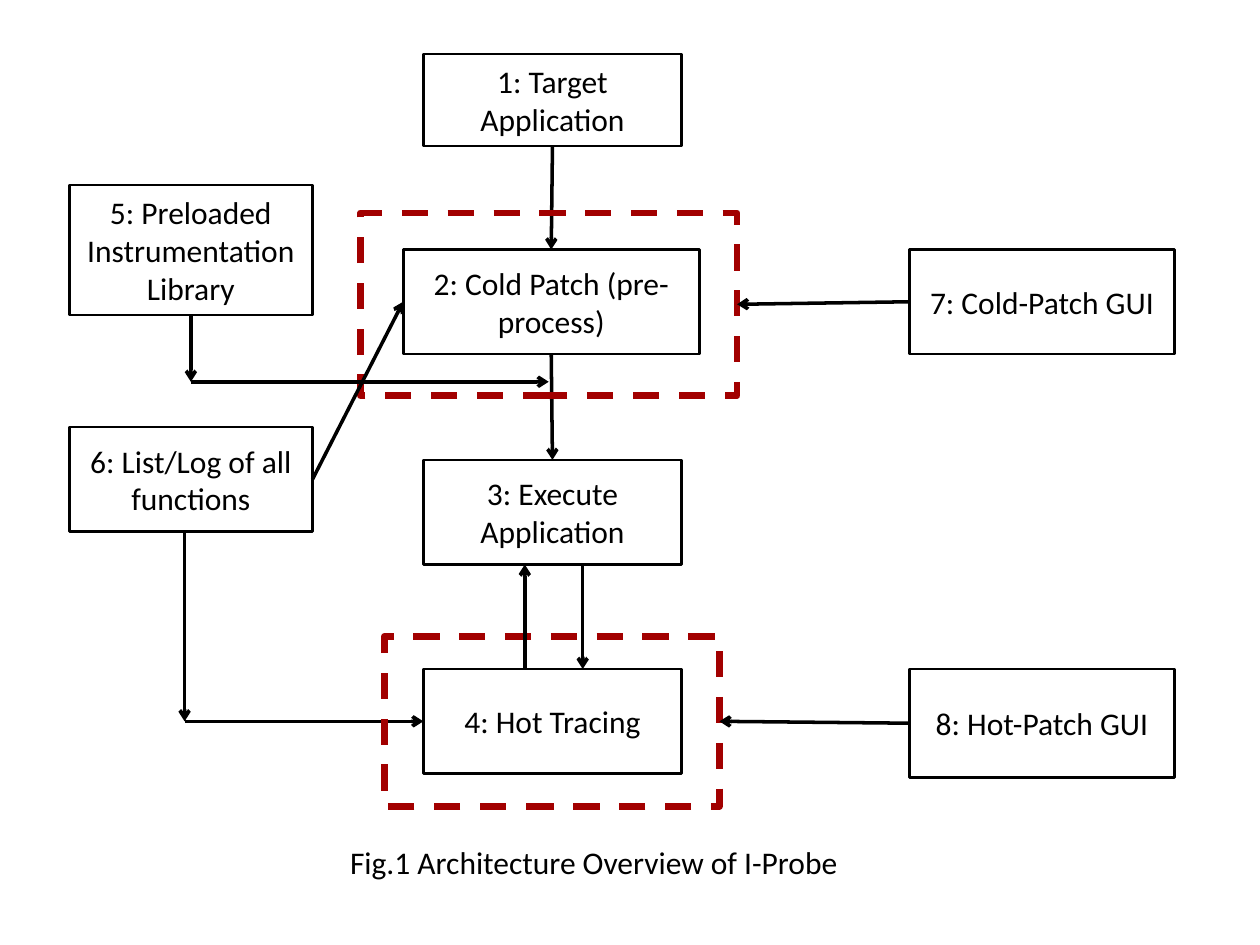
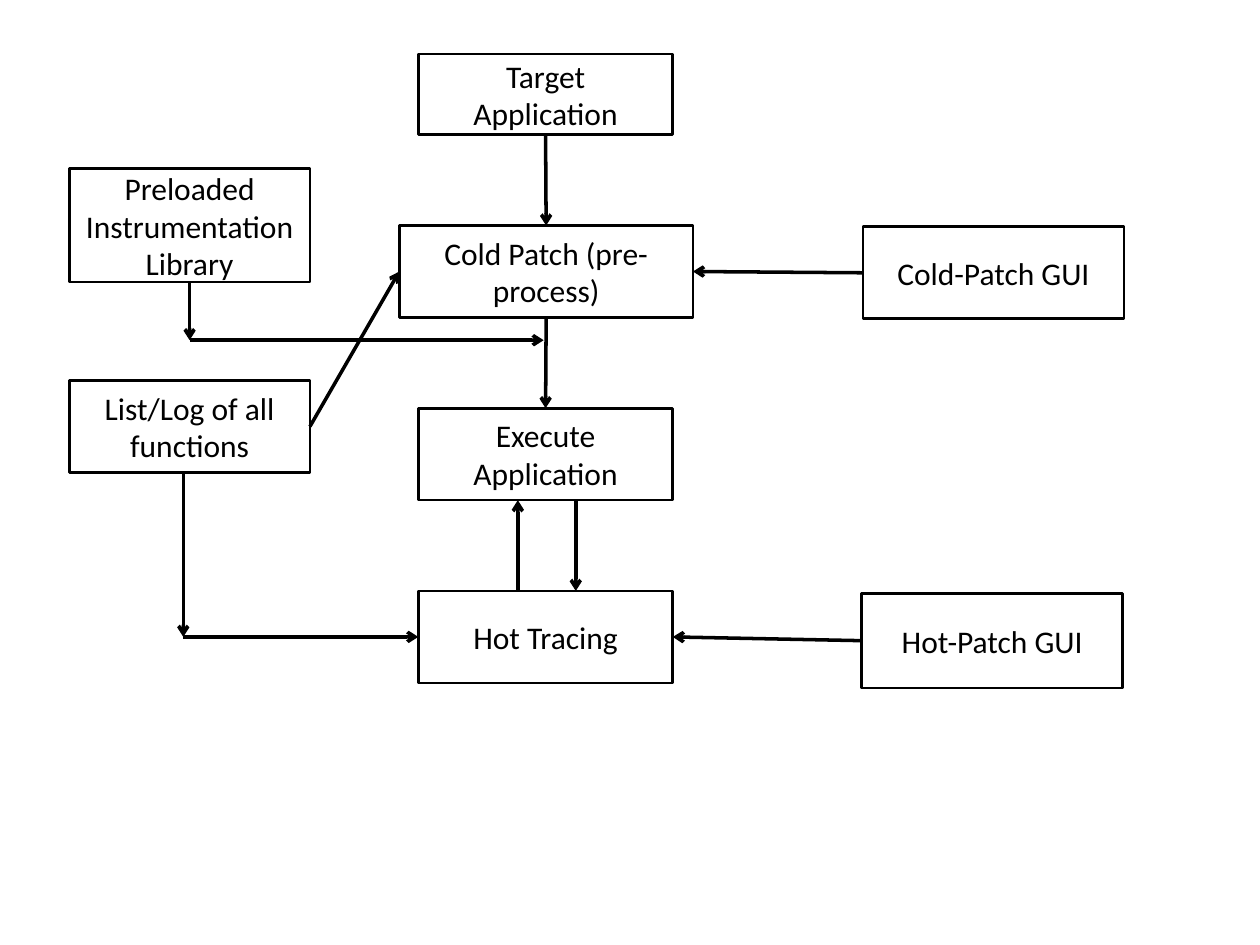
from lxml.etree import SubElement
from pptx import Presentation
from pptx.dml.color import RGBColor
from pptx.enum.dml import MSO_LINE
from pptx.enum.shapes import MSO_CONNECTOR, MSO_SHAPE
from pptx.enum.text import MSO_ANCHOR, MSO_AUTO_SIZE, PP_ALIGN
from pptx.oxml.ns import qn
from pptx.util import Inches, Pt

BLACK = RGBColor(0x00, 0x00, 0x00)
RED = RGBColor(0xA2, 0x00, 0x00)
FONT, SIZE = "Calibri", 18

# Content: the steps in number order
NAMES = {
    "target": "Target Application",
    "cold": "Cold Patch (pre-process)",
    "run": "Execute Application",
    "hot": "Hot Tracing",
    "lib": "Preloaded Instrumentation\nLibrary",
    "log": "List/Log of all functions",
    "cold_gui": "Cold-Patch GUI",
    "hot_gui": "Hot-Patch GUI",
}

# Each place is left, top, width, height in inches
SLIDES = [
    {
        "numbered": True,
        "places": {
            "target": (3.36, 0.43, 2.05, 0.73),
            "cold": (3.2, 1.98, 2.35, 0.83),
            "run": (3.36, 3.65, 2.05, 0.83),
            "hot": (3.36, 5.31, 2.05, 0.83),
            "lib": (0.55, 1.47, 1.93, 1.03),
            "log": (0.55, 3.39, 1.93, 0.83),
            "cold_gui": (7.22, 1.98, 2.1, 0.83),
            "hot_gui": (7.22, 5.31, 2.1, 0.86),
        },
        "frames": {
            "cold": (2.86, 1.69, 2.99, 1.45),
            "hot": (3.05, 5.05, 2.66, 1.35),
        },
        "join": 3.03,
        "caption": ("Fig.1 Architecture Overview of I-Probe",
                    (2.68, 6.64, 4.13, 0.4)),
    },
    {
        "numbered": False,
        "places": {
            "target": (3.32, 0.43, 2.02, 0.64),
            "cold": (3.17, 1.79, 2.33, 0.73),
            "run": (3.32, 3.24, 2.02, 0.73),
            "hot": (3.32, 4.69, 2.02, 0.73),
            "lib": (0.55, 1.34, 1.91, 0.9),
            "log": (0.55, 3.02, 1.91, 0.73),
            "cold_gui": (6.85, 1.8, 2.07, 0.73),
            "hot_gui": (6.84, 4.71, 2.07, 0.75),
        },
        "frames": {},
        "join": 2.7,
        "caption": None,
    },
]


# Points on the edges of a place
def top(place, shift=0):
    x, y, w, h = place
    return x + w / 2 + shift, y


def bottom(place, shift=0):
    x, y, w, h = place
    return x + w / 2 + shift, y + h


def left(place):
    x, y, w, h = place
    return x, y + h / 2


def right(place):
    x, y, w, h = place
    return x + w, y + h / 2


# Drawing helpers
def style(frame, align):
    for para in frame.paragraphs:
        para.alignment = align
        for run in para.runs:
            run.font.name = FONT
            run.font.size = Pt(SIZE)
            run.font.color.rgb = BLACK


def add_rect(slide, place, color, width):
    rect = slide.shapes.add_shape(MSO_SHAPE.RECTANGLE, *map(Inches, place))
    rect.shadow.inherit = False
    rect.fill.background()
    rect.line.color.rgb = color
    rect.line.width = Pt(width)
    return rect


def add_box(slide, place, text):
    frame = add_rect(slide, place, BLACK, 1.5).text_frame
    frame.word_wrap = True
    frame.vertical_anchor = MSO_ANCHOR.MIDDLE
    frame.text = text
    style(frame, PP_ALIGN.CENTER)


def add_arrow(slide, start, end):
    line = slide.shapes.add_connector(
        MSO_CONNECTOR.STRAIGHT, *map(Inches, start + end))
    line.line.color.rgb = BLACK
    line.line.width = Pt(2)
    SubElement(line.line._get_or_add_ln(), qn("a:tailEnd"), type="arrow")
    SubElement(line._element.spPr, qn("a:effectLst"))


def add_caption(slide, text, place):
    box = slide.shapes.add_textbox(*map(Inches, place))
    frame = box.text_frame
    frame.word_wrap = False
    frame.auto_size = MSO_AUTO_SIZE.SHAPE_TO_FIT_TEXT
    frame.text = text
    style(frame, PP_ALIGN.LEFT)


def add_flow(slide, data):
    at, frames = data["places"], data["frames"]

    # Boxes
    for num, (key, name) in enumerate(NAMES.items(), 1):
        text = f"{num}: {name}" if data["numbered"] else name
        add_box(slide, at[key], text)

    # Main flow, then the log's way down to hot tracing
    add_arrow(slide, bottom(at["target"]), top(at["cold"]))
    add_arrow(slide, bottom(at["cold"]), top(at["run"]))
    add_arrow(slide, bottom(at["run"], 0.24), top(at["hot"], 0.24))
    fall = bottom(at["log"], -0.05)
    turn = (fall[0], left(at["hot"])[1])
    add_arrow(slide, fall, turn)
    add_arrow(slide, turn, left(at["hot"]))

    # Dashed frames
    for place in frames.values():
        add_rect(slide, place, RED, 3.75).line.dash_style = MSO_LINE.DASH

    # Return, library and log arrows
    add_arrow(slide, top(at["hot"], -0.22), bottom(at["run"], -0.22))
    drop = bottom(at["lib"])
    turn = (drop[0], data["join"])
    add_arrow(slide, drop, turn)
    add_arrow(slide, turn, (top(at["cold"], -0.02)[0], data["join"]))
    add_arrow(slide, right(at["log"]), left(at["cold"]))

    # Each GUI points at the frame, or at the box where there is none
    for key in ("cold", "hot"):
        goal = frames.get(key, at[key])
        add_arrow(slide, left(at[key + "_gui"]), right(goal))

    if data["caption"]:
        add_caption(slide, *data["caption"])


def main():
    deck = Presentation()
    deck.slide_width, deck.slide_height = Inches(10), Inches(7.5)
    for data in SLIDES:
        add_flow(deck.slides.add_slide(deck.slide_layouts[6]), data)
    deck.save("out.pptx")


if __name__ == "__main__":
    main()
